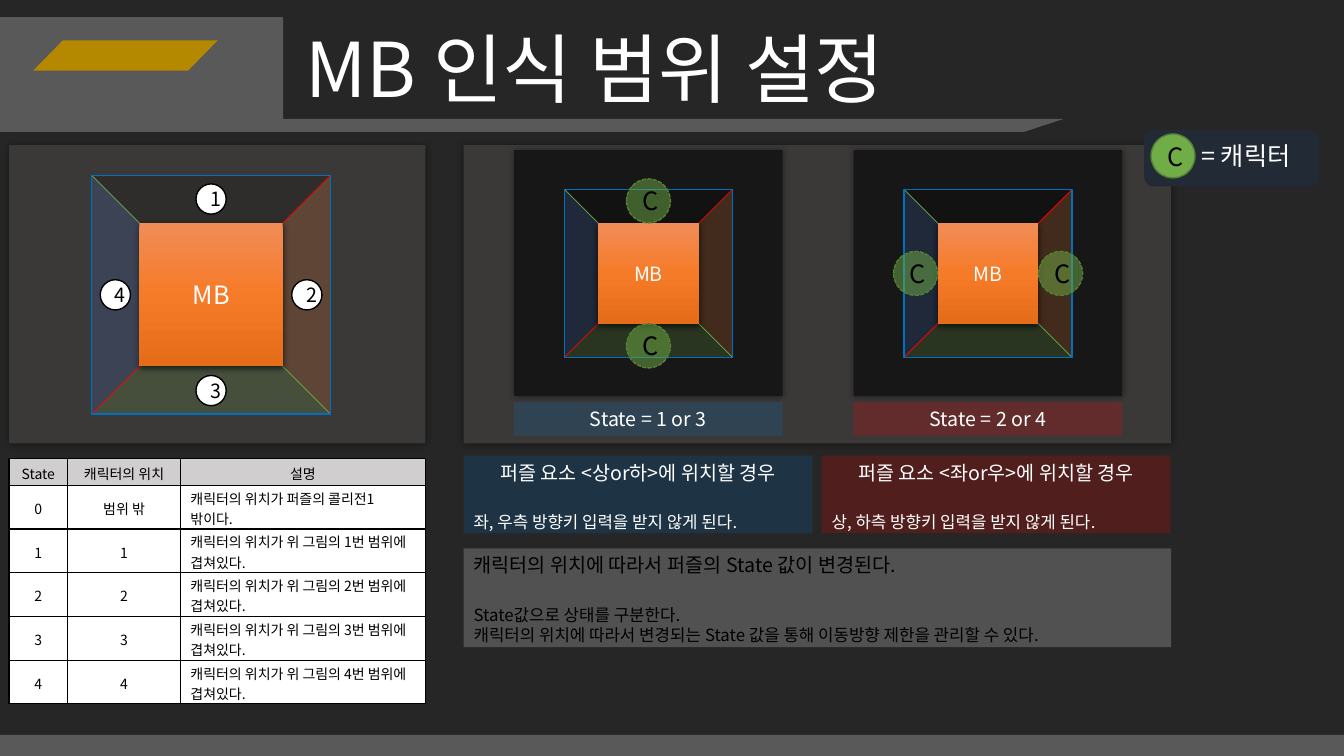
import pptx
import pptx.util
import pptx.dml.color
import pptx.enum.dml
import pptx.enum.shapes
import pptx.enum.text
import pptx.oxml
import pptx.oxml.ns

Pt = pptx.util.Pt
KIND = pptx.enum.shapes.MSO_SHAPE
ALIGN = pptx.enum.text.PP_ALIGN
ANCHOR = pptx.enum.text.MSO_ANCHOR
NS = pptx.oxml.ns.nsdecls("a")
SIDES = {"top": (0, -1, 180, "000000"), "left": (-1, 0, 90, "4472C4"),
         "bottom": (0, 1, 0, "70AD47"), "right": (1, 0, 270, "ED7D31")}
GLOW = (40, 5, 0, 0)
DROP = (63, 4.5, 1.5, 90)


def color(code):
    return pptx.dml.color.RGBColor.from_string(code)


def node(text):
    return pptx.oxml.parse_xml(text.replace(">", f" {NS}>", 1))


class Deck:
    """Draws styled elements on the current slide."""

    font = "Noto Sans CJK KR"

    def __init__(self, wide, high, back):
        self.file = pptx.Presentation()
        self.file.slide_width, self.file.slide_height = Pt(wide), Pt(high)
        self.slide = self.file.slides.add_slide(self.file.slide_layouts[6])
        self.slide.background.fill.solid()
        self.slide.background.fill.fore_color.rgb = color(back)
        self.shapes = self.slide.shapes

    def words(self, frame, lines, ink, align=ALIGN.LEFT):
        """Each line is (text, size, space before, optional alignment)."""
        frame.word_wrap = True
        for i, (text, size, gap, *own) in enumerate(lines):
            para = frame.paragraphs[0] if i == 0 else frame.add_paragraph()
            para.text = text
            para.alignment = own[0] if own else align
            para.space_before = Pt(gap)
            para.font.size, para.font.name = Pt(size), self.font
            para.font.color.rgb = color(ink)
            para._p.pPr.find(pptx.oxml.ns.qn("a:defRPr")).append(
                node(f'<a:ea typeface="{self.font}"></a:ea>'))

    def shape(self, kind, box, fill=None, alpha=100, line=None, dash=False,
              turn=0, shade=None, adjust=None):
        item = self.shapes.add_shape(kind, *map(Pt, box))
        item.rotation = turn
        if adjust is not None:
            item.adjustments[0] = adjust
        if fill:
            item.fill.solid()
            item.fill.fore_color.rgb = color(fill)
            if alpha < 100:
                tint = item._element.spPr.find(".//" + pptx.oxml.ns.qn("a:srgbClr"))
                tint.append(node(f'<a:alpha val="{alpha * 1000}"></a:alpha>'))
        else:
            item.fill.background()
        if line:
            item.line.color.rgb, item.line.width = color(line), Pt(1)
            if dash:
                item.line.dash_style = pptx.enum.dml.MSO_LINE.SQUARE_DOT
        else:
            item.line.fill.background()
        item.shadow.inherit = False
        if shade:
            level, blur, far, angle = shade
            item._element.spPr.find(pptx.oxml.ns.qn("a:effectLst")).append(node(
                f'<a:outerShdw blurRad="{Pt(blur)}" dist="{Pt(far)}" dir="{angle * 60000}" rotWithShape="0">'
                f'<a:srgbClr val="000000"><a:alpha val="{level * 1000}"/></a:srgbClr></a:outerShdw>'))
        return item

    def rect(self, box, fill=None, **style):
        return self.shape(KIND.RECTANGLE, box, fill, **style)

    def text(self, box, text, size, ink="FFFFFF"):
        item = self.shapes.add_textbox(*map(Pt, box))
        self.words(item.text_frame, [(text, size, 0)], ink)

    def note(self, box, fill, lines, ink="FFFFFF", align=ALIGN.LEFT):
        item = self.rect(box, fill, alpha=20)
        item.text_frame.vertical_anchor = ANCHOR.TOP
        self.words(item.text_frame, lines, ink, align)

    def line(self, x1, y1, x2, y2, ink):
        item = self.shapes.add_connector(
            pptx.enum.shapes.MSO_CONNECTOR.STRAIGHT, Pt(x1), Pt(y1), Pt(x2), Pt(y2))
        item.line.color.rgb, item.line.width = color(ink), Pt(0.5)
        item._element.spPr.append(node("<a:effectLst></a:effectLst>"))

    def disc(self, x, y, size, text, points, fill, line, **style):
        item = self.shape(KIND.OVAL, (x - size / 2, y - size / 2, size, size),
                          fill, line=line, **style)
        item.text_frame.vertical_anchor = ANCHOR.MIDDLE
        self.words(item.text_frame, [(text, points, 0)], "000000", ALIGN.CENTER)

    def zone(self, x, y, side, points):
        """Draw the block and its four areas around a centre."""
        half, step = side / 2, side / 4
        for dx, dy, turn, fill in SIDES.values():
            self.shape(KIND.ISOSCELES_TRIANGLE,
                       (x + dx * step - half, y + dy * step - step, side, half),
                       fill, alpha=20, turn=turn)
        self.line(x + half, y - half, x - half, y + half, "FF0000")
        self.line(x - half, y - half, x + half, y + half, "70AD47")
        self.rect((x - half, y - half, side, side), line="0070C0")
        core = 0.3 * side
        block = self.rect((x - core, y - core, 2 * core, 2 * core), "F67B28", shade=DROP)
        stops = "".join(f'<a:gs pos="{at * 1000}"><a:srgbClr val="{tint}"/></a:gs>'
                        for at, tint in ((0, "F18C57"), (50, "F67B28"), (100, "E56C19")))
        props = block._element.spPr
        props.replace(props.find(pptx.oxml.ns.qn("a:solidFill")), node(
            f'<a:gradFill><a:gsLst>{stops}</a:gsLst><a:lin ang="5400000" scaled="0"/></a:gradFill>'))
        block.text_frame.vertical_anchor = ANCHOR.MIDDLE
        self.words(block.text_frame, [("MB", points, 0)], "FFFFFF", ALIGN.CENTER)

    def table(self, x, y, cols, highs, rows):
        frame = self.shapes.add_table(len(rows), len(cols), Pt(x), Pt(y),
                                      Pt(sum(cols)), Pt(sum(highs)))
        grid = frame.table
        grid.first_row = grid.horz_banding = False
        for col, wide in zip(grid.columns, cols):
            col.width = Pt(wide)
        for r, (row, high) in enumerate(zip(rows, highs)):
            grid.rows[r].height = Pt(high)
            for c, text in enumerate(row):
                cell = grid.cell(r, c)
                cell.margin_top, cell.margin_bottom = Pt(2 if r else 3.6), Pt(0)
                cell.fill.solid()
                cell.fill.fore_color.rgb = color("FFFFFF" if r else "D0CECE")
                mid = r > 0 and c < 2
                cell.vertical_anchor = ANCHOR.MIDDLE if mid else ANCHOR.TOP
                align = ALIGN.LEFT if r and c == 2 else ALIGN.CENTER
                self.words(cell.text_frame, [(text, 10, 0)], "000000", align)
                for i, edge in enumerate("LRTB"):
                    cell._tc.tcPr.insert(i, node(
                        f'<a:ln{edge} w="{Pt(1)}"><a:solidFill><a:srgbClr val="000000"/>'
                        f'</a:solidFill></a:ln{edge}>'))


deck = Deck(960, 540, "262626")
for left, wide in ((331.2, 505.4), (6.5, 297.4)):
    deck.rect((left, 103.7, wide, 213.1), "3B3838", shade=GLOW)

deck.rect((0, 12.2, 202.3, 82.1), "595959")
deck.shape(KIND.PARALLELOGRAM, (23.8, 28.8, 131.8, 21.6), "B48900", adjust=0.98)
deck.shape(KIND.PARALLELOGRAM, (166.3, 85, 593.3, 9.3), "595959", adjust=3.05)
deck.rect((0, 524.9, 960, 15.1), "595959")
deck.text((211, 12.2, 481, 72.7), "MB 인식 범위 설정", 54)

deck.zone(150.8, 210.6, 170.6, 18)
for num, side in enumerate(("top", "right", "bottom", "left"), 1):
    dx, dy = SIDES[side][:2]
    deck.disc(150.8 + dx * 68.4, 210.6 + dy * 68.4, 21.6, str(num), 14, "FFFFFF", "000000")

near = "캐릭터의 위치가 위 그림의 {}번 범위에 겹쳐있다."
rows = [("State", "캐릭터의 위치", "설명"),
        ("0", "범위 밖", "캐릭터의 위치가 퍼즐의 콜리전1 밖이다.")]
rows += [(str(n), str(n), near.format(n)) for n in range(1, 5)]
deck.table(6.5, 327.6, (41.8, 80.6, 175), [19] + [31.25] * 5, rows)

cases = ((463.2, "top", "bottom", "State = 1 or 3", "0070C0", 331.2, "상or하", "좌, 우측"),
         (705.8, "left", "right", "State = 2 or 4", "FF0000", 587, "좌or우", "상, 하측"))
for mid, one, two, state, tint, left, place, keys in cases:
    deck.rect((mid - 96, 107.3, 191.8, 175.7), "181717", shade=GLOW)
    deck.zone(mid, 195.3, 120, 14)
    for side in (one, two):
        dx, dy = SIDES[side][:2]
        deck.disc(mid + dx * 51.8, 195.3 + dy * 51.8, 31.4, "C", 18,
                  "70AD47", "538035", alpha=50, dash=True)
    deck.note((mid - 96, 287, 191.8, 24.2), tint, [(state, 14, 0)], align=ALIGN.CENTER)
    deck.note((left, 325.4, 249.1, 55.4), tint,
              [(f"퍼즐 요소 <{place}>에 위치할 경우", 14, 0, ALIGN.CENTER),
               (f"{keys} 방향키 입력을 받지 않게 된다.", 12, 20)])

deck.note((331.2, 391.7, 505.4, 70.6), "FFFFFF",
          [("캐릭터의 위치에 따라서 퍼즐의 State 값이 변경된다.", 14, 0),
           ("State값으로 상태를 구분한다.", 12, 20),
           ("캐릭터의 위치에 따라서 변경되는 State 값을 통해 이동방향 제한을 관리할 수 있다.", 12, 0)],
          "000000")

deck.shape(KIND.ROUNDED_RECTANGLE, (817.2, 92.9, 125.3, 40.3), "222A35")
deck.disc(837.9, 111.4, 31.4, "C", 18, "70AD47", "538035")
deck.text((851, 96.5, 103, 28.8), "= 캐릭터", 18)
deck.file.save("out.pptx")
